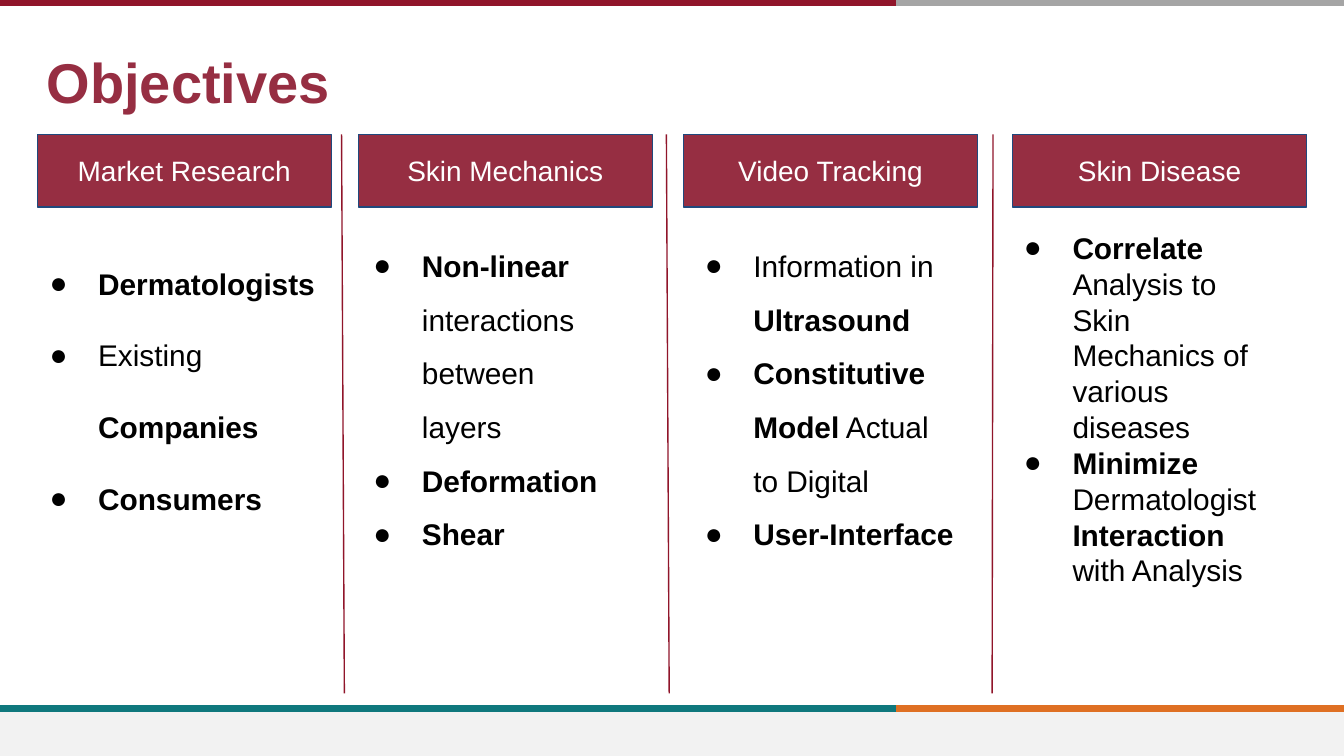
from lxml import etree
from pptx import Presentation
from pptx.dml.color import RGBColor
from pptx.enum.shapes import MSO_CONNECTOR, MSO_SHAPE
from pptx.enum.text import MSO_ANCHOR, PP_ALIGN
from pptx.oxml.ns import qn
from pptx.util import Pt

COLORS = {
    "maroon": "962E42", "crimson": "90152A", "gray": "A5A5A5",
    "teal": "0F787D", "orange": "DF7023", "footer": "F2F2F2",
    "navy": "1F497D", "black": "000000", "white": "FFFFFF",
}
SLIDE_WIDTH, SLIDE_HEIGHT = 720, 405
BAND_SPLIT = 480
HEADING_TOP, HEADING_WIDTH, HEADING_HEIGHT = 72, 157.5, 39
BODY_TOP, BODY_HEIGHT = 119.5, 240

# Heading, heading left, body left, body width, line spacing,
# bullets as (text, bold) runs
COLUMNS = [
    ("Market Research", 20, 9.5, 168, 2, [
        [("Dermatologists", True)],
        [("Existing ", False), ("Companies", True)],
        [("Consumers", True)],
    ]),
    ("Skin Mechanics", 192, 183, 157.5, 1.5, [
        [("Non-linear ", True), ("interactions between layers", False)],
        [("Deformation", True)],
        [("Shear", True)],
    ]),
    ("Video Tracking", 366.25, 360.5, 160, 1.5, [
        [("Information in ", False), ("Ultrasound", True)],
        [("Constitutive Model", True), (" Actual to Digital", False)],
        [("User-Interface", True)],
    ]),
    ("Skin Disease", 542.5, 531.5, 157.5, 1, [
        [("Correlate ", True),
         ("Analysis to Skin Mechanics of various diseases", False)],
        [("Minimize ", True), ("Dermatologist ", False),
         ("Interaction ", True), ("with Analysis", False)],
    ]),
]
# Top x and bottom x of each line between columns
DIVIDERS = [(183, 184.5), (357, 358.5), (532, 531.5)]


def color(name):
    return RGBColor.from_string(COLORS[name])


def style_font(font, size, color_name, bold=False):
    font.name = "Arial"
    font.size = Pt(size)
    font.bold = bold
    font.color.rgb = color(color_name)


def add_line(slide, start, end, color_name, width):
    line = slide.shapes.add_connector(
        MSO_CONNECTOR.STRAIGHT, *map(Pt, start + end))
    line.line.color.rgb = color(color_name)
    line.line.width = Pt(width)
    etree.SubElement(line._element.spPr, qn("a:effectLst"))


def add_rectangle(slide, left, top, width, height, fill, outline=None):
    rectangle = slide.shapes.add_shape(
        MSO_SHAPE.RECTANGLE, Pt(left), Pt(top), Pt(width), Pt(height))
    rectangle.shadow.inherit = False
    rectangle.fill.solid()
    rectangle.fill.fore_color.rgb = color(fill)
    if outline:
        rectangle.line.color.rgb = color(outline)
        rectangle.line.width = Pt(0.75)
    else:
        rectangle.line.fill.background()
    return rectangle


def add_text_frame(slide, left, top, width, height):
    frame = slide.shapes.add_textbox(
        Pt(left), Pt(top), Pt(width), Pt(height)).text_frame
    frame.word_wrap = True
    return frame


def add_bands(slide):
    """Draw the two-colour bands and the footer strip."""
    bands = [(379.5, "teal", "orange"), (1.5, "crimson", "gray")]
    add_rectangle(slide, 0, 381, SLIDE_WIDTH, 24, "footer")
    for y, left_color, right_color in bands:
        add_line(slide, (BAND_SPLIT, y), (SLIDE_WIDTH, y), right_color, 4)
        add_line(slide, (0, y), (BAND_SPLIT, y), left_color, 4)


def add_title(slide, title):
    frame = add_text_frame(slide, 18, 19.5, 575, 31.5)
    frame.margin_top = Pt(6)
    frame.text = title
    style_font(frame.paragraphs[0].runs[0].font, 30, "maroon", True)


def add_heading(slide, heading, left):
    box = add_rectangle(slide, left, HEADING_TOP, HEADING_WIDTH,
                        HEADING_HEIGHT, "maroon", "navy")
    frame = box.text_frame
    frame.vertical_anchor = MSO_ANCHOR.MIDDLE
    frame.margin_top = frame.margin_bottom = Pt(7.2)
    frame.text = heading
    paragraph = frame.paragraphs[0]
    paragraph.alignment = PP_ALIGN.CENTER
    style_font(paragraph.runs[0].font, 15, "white")


def set_bullet(paragraph):
    properties = paragraph._p.get_or_add_pPr()
    properties.set("marL", str(Pt(36)))
    properties.set("indent", str(Pt(-26)))
    bullet_color = etree.SubElement(properties, qn("a:buClr"))
    etree.SubElement(bullet_color, qn("a:srgbClr"), val=COLORS["black"])
    etree.SubElement(properties, qn("a:buFont"), typeface="Arial")
    etree.SubElement(properties, qn("a:buChar"), char="●")


def add_bullets(slide, left, width, line_spacing, bullets):
    frame = add_text_frame(slide, left, BODY_TOP, width, BODY_HEIGHT)
    for index, runs in enumerate(bullets):
        paragraph = frame.add_paragraph() if index else frame.paragraphs[0]
        set_bullet(paragraph)
        paragraph.line_spacing = float(line_spacing)
        for text, bold in runs:
            run = paragraph.add_run()
            run.text = text
            style_font(run.font, 16, "black", bold)


def main():
    presentation = Presentation()
    presentation.slide_width = Pt(SLIDE_WIDTH)
    presentation.slide_height = Pt(SLIDE_HEIGHT)
    slide = presentation.slides.add_slide(presentation.slide_layouts[6])
    add_bands(slide)
    add_title(slide, "Objectives")
    for heading, left, body_left, body_width, spacing, bullets in COLUMNS:
        add_bullets(slide, body_left, body_width, spacing, bullets)
        add_heading(slide, heading, left)
    for top_x, bottom_x in DIVIDERS:
        add_line(slide, (top_x, HEADING_TOP), (bottom_x, 371.5),
                 "crimson", 0.75)
    presentation.save("out.pptx")


if __name__ == "__main__":
    main()
